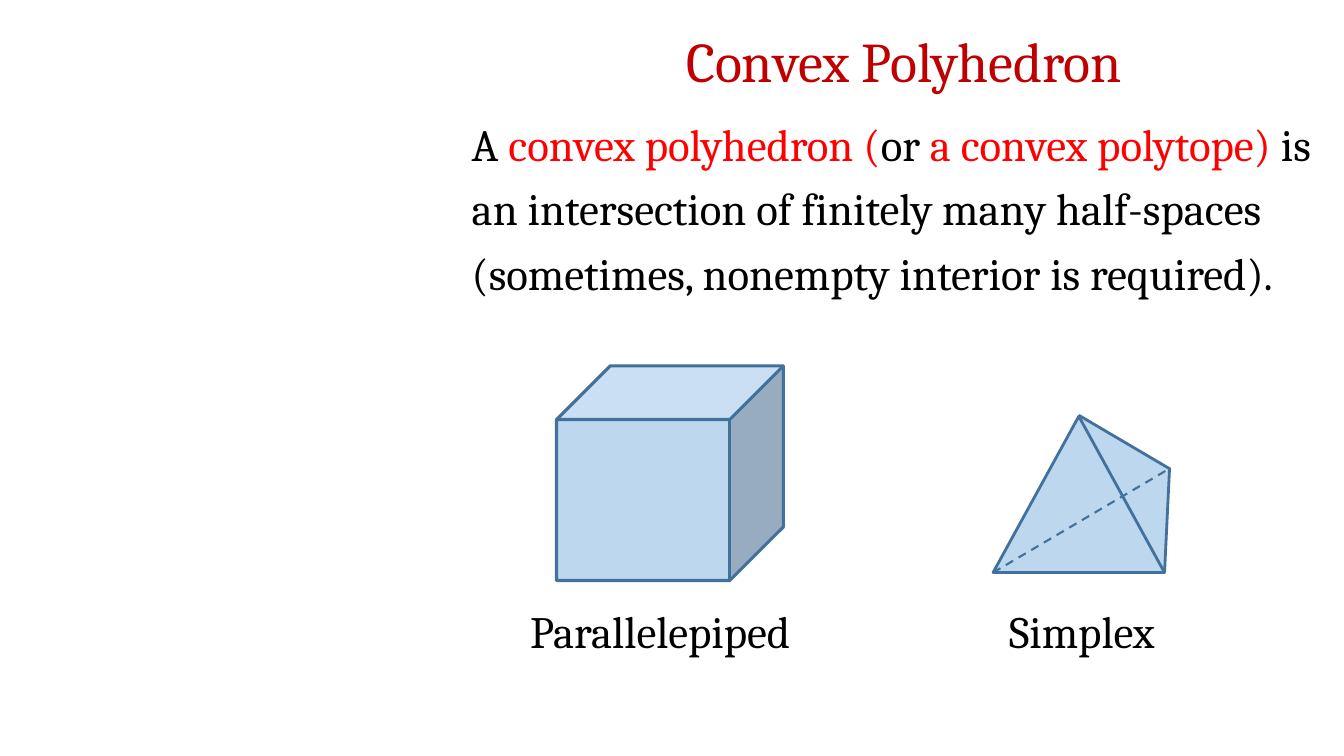
from pptx import Presentation
from pptx.util import Inches, Pt
from pptx.dml.color import RGBColor
from pptx.enum.dml import MSO_LINE as Dash
from pptx.enum.shapes import MSO_SHAPE as Shape, MSO_CONNECTOR as Link
from pptx.enum.text import MSO_AUTO_SIZE as Fit, PP_ALIGN as Align
from pptx.oxml.ns import qn
from lxml import etree

COLORS = {"title": "C00000", "key": "FF0000", "text": "000000",
          "face": "BDD7EE", "edge": "41719C"}

deck = Presentation()
deck.slide_width, deck.slide_height = Inches(13.33), Inches(7.5)
slide = deck.slides.add_slide(deck.slide_layouts[6])


def color(name):
    return RGBColor.from_string(COLORS[name])


def add_text(box, parts, size=32, wrap=True):
    frame = slide.shapes.add_textbox(*map(Inches, box)).text_frame
    frame.word_wrap = wrap
    frame.auto_size = Fit.SHAPE_TO_FIT_TEXT
    para = frame.paragraphs[0]
    for text, tone in parts:
        run = para.add_run()
        run.text = text
        run.font.name, run.font.size = "Cambria", Pt(size)
        run.font.color.rgb = color(tone)
    return para


# Title and definition
title = add_text((4.59, 0.21, 8.75, 0.77), [("Convex Polyhedron", "title")], 40)
title.alignment = Align.CENTER
body = add_text((4.58, 1, 8.75, 2.04), [
    ("A ", "text"),
    ("convex polyhedron (", "key"),
    ("or", "text"),
    (" a convex polytope) ", "key"),
    ("is an intersection of finitely many half-spaces "
     "(sometimes, nonempty interior is required).", "text")])
body.line_spacing = 1.2

# Solids: side and front of the simplex, then the parallelepiped
for kind, box, turn, edge, width in [
        (Shape.ISOSCELES_TRIANGLE, (10.51, 4.53, 1.69, 0.51), 62, "face", 2.25),
        (Shape.ISOSCELES_TRIANGLE, (9.85, 4.13, 1.7, 1.55), 0, "edge", 2),
        (Shape.CUBE, (5.52, 3.63, 2.25, 2.13), 0, "edge", 2.25)]:
    solid = slide.shapes.add_shape(kind, *map(Inches, box))
    solid.rotation = turn
    solid.shadow.inherit = False
    solid.fill.solid()
    solid.fill.fore_color.rgb = color("face")
    solid.line.color.rgb = color(edge)
    solid.line.width = Pt(width)

# Outer edges of the simplex and its hidden edge
for ends, width, dash in [
        ((10.7, 4.12, 11.6, 4.65), 2, None),
        ((11.6, 4.64, 11.55, 5.68), 2, None),
        ((9.85, 5.68, 11.58, 4.66), 1.5, Dash.DASH)]:
    edge = slide.shapes.add_connector(Link.STRAIGHT, *map(Inches, ends))
    edge.line.color.rgb = color("edge")
    edge.line.width = Pt(width)
    edge.line.dash_style = dash
    etree.SubElement(edge._element.spPr, qn("a:effectLst"))

# Captions
for text, left, width in [("Parallelepiped", 5.16, 2.96), ("Simplex", 9.91, 1.73)]:
    add_text((left, 5.94, width, 0.64), [(text, "text")], wrap=False)

deck.save("out.pptx")
